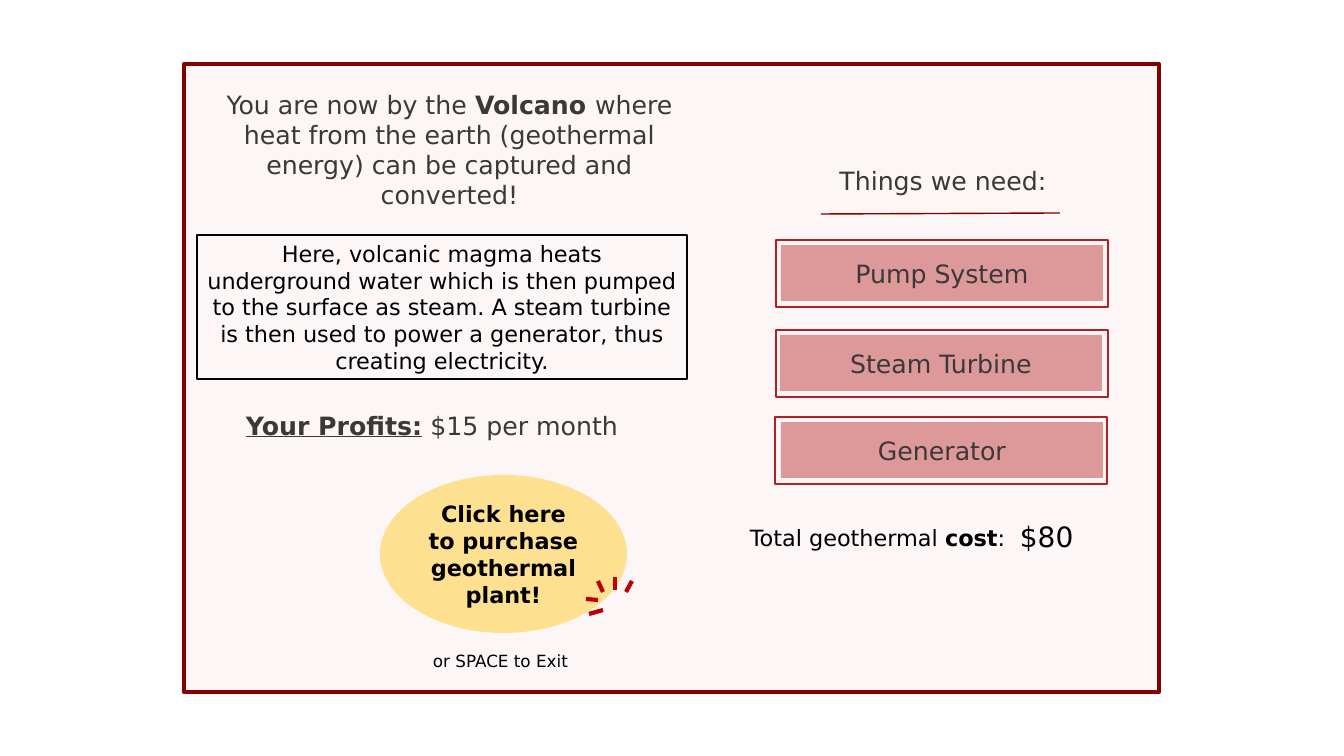
import pptx
import pptx.util
import pptx.dml.color
import pptx.enum.shapes
import pptx.enum.text
import pptx.oxml.ns
import lxml.etree

PX = 914400 / 100.8
FONT = "DejaVu Sans"
COLORS = {
    "white": "FFFFFF",
    "maroon": "820000",
    "red": "B51F21",
    "ray": "C00000",
    "yellow": "FFD966",
    "gray": "3B3838",
    "black": "000000",
}
KINDS = pptx.enum.shapes.MSO_SHAPE
CENTER = pptx.enum.text.PP_ALIGN.CENTER
LEFT = pptx.enum.text.PP_ALIGN.LEFT
MIDDLE = pptx.enum.text.MSO_ANCHOR.MIDDLE
TOP = pptx.enum.text.MSO_ANCHOR.TOP


def color(name):
    return pptx.dml.color.RGBColor.from_string(COLORS[name])


def emu(*lengths):
    return [round(length * PX) for length in lengths]


presentation = pptx.Presentation()
presentation.slide_width, presentation.slide_height = emu(1344, 756)
slide = presentation.slides.add_slide(presentation.slide_layouts[5])
shapes = slide.shapes
slide.background.fill.solid()
slide.background.fill.fore_color.rgb = color("white")

# Boxes: kind, place, fill, opacity in percent, line, line width
boxes = [(KINDS.RECTANGLE, (184, 64, 975, 628), "red", 4, "maroon", 3)]
boxes.append((KINDS.OVAL, (380, 475, 247, 158), "yellow", 70, None, 0))
needs = [
    ("Pump System", 781, 245, 776),
    ("Steam Turbine", 780, 335, 776),
    ("Generator", 781, 422, 775),
]
for need, left, top, border_left in needs:
    boxes.append((KINDS.RECTANGLE, (left, top, 322, 56), "red", 43, None, 0))
    boxes.append((KINDS.RECTANGLE, (border_left, top - 5, 332, 67), None, 0, "red", 1))
boxes.append((KINDS.RECTANGLE, (197, 235, 490, 144), None, 0, "black", 1))

drawn = []
for kind, place, fill, opacity, line, width in boxes:
    shape = shapes.add_shape(kind, *emu(*place))
    shape.shadow.inherit = False
    if fill:
        shape.fill.solid()
        shape.fill.fore_color.rgb = color(fill)
        solid_color = shape.fill._xPr.find(".//" + pptx.oxml.ns.qn("a:srgbClr"))
        alpha = lxml.etree.SubElement(solid_color, pptx.oxml.ns.qn("a:alpha"))
        alpha.set("val", str(opacity * 1000))
    else:
        shape.fill.background()
    if line:
        shape.line.color.rgb = color(line)
        shape.line.width = pptx.util.Pt(width)
    else:
        shape.line.fill.background()
    drawn.append(shape)
frame, button, story = drawn[0], drawn[1], drawn[-1]
need_boxes = drawn[2:-1:2]

# The frame lies behind the title
shapes._spTree.remove(frame._element)
shapes._spTree.insert(2, frame._element)

# Click rays on the button and the rule under the heading
lines = [
    (615, 577, 615, 590, "ray", 3),
    (632, 581, 626, 592, "ray", 3),
    (603, 610, 589, 614, "ray", 3),
    (598, 581, 603, 592, "ray", 3),
    (586, 599, 598, 600, "ray", 3),
    (821, 214, 1060, 213, "maroon", 1),
]
for *ends, name, width in lines:
    connector = shapes.add_connector(
        pptx.enum.shapes.MSO_CONNECTOR.STRAIGHT, *emu(*ends)
    )
    connector.line.color.rgb = color(name)
    connector.line.width = pptx.util.Pt(width)
    lxml.etree.SubElement(
        connector._element.spPr, pptx.oxml.ns.qn("a:effectLst")
    )

# Title
title = shapes.title
title.left, title.top, title.width, title.height = emu(212, 85, 475, 129)

# Texts: shape, or place of a new text box; runs with style b or u; format
texts = [
    (title, [("You are now by the ", ""), ("Volcano ", "b"),
             ("where heat from the earth (geothermal energy) can be "
              "captured and converted!", "")], 18, "gray", CENTER, MIDDLE),
    (story, [("Here, volcanic magma heats underground water which is then "
              "pumped to the surface as steam. A steam turbine is then used "
              "to power a generator, thus creating electricity.", "")],
     16, "black", CENTER, MIDDLE),
    ((201, 398, 462, 54), [("Your Profits:", "bu"), (" $15 per month", "")],
     18, "gray", CENTER, MIDDLE),
    (button, [("Click here to purchase geothermal plant!", "b")],
     16, "black", CENTER, MIDDLE),
    ((423, 646, 161, 30), [("or SPACE to Exit", "")], 12, "black", LEFT, TOP),
    ((824, 160, 238, 40), [("Things we need:", "")], 18, "gray", CENTER, TOP),
    ((740, 519, 301, 37), [("Total geothermal ", ""), ("cost", "b"), (":", "")],
     16, "black", LEFT, TOP),
    ((1010, 515, 101, 44), [("$80", "")], 20, "black", LEFT, TOP),
]
for box, (need, *_) in zip(need_boxes, needs):
    texts.append((box, [(need, "")], 18, "gray", CENTER, MIDDLE))

for target, runs, size, name, alignment, anchor in texts:
    if isinstance(target, tuple):
        target = shapes.add_textbox(*emu(*target))
    text_frame = target.text_frame
    text_frame.word_wrap = True
    text_frame.auto_size = pptx.enum.text.MSO_AUTO_SIZE.NONE
    text_frame.vertical_anchor = anchor
    paragraph = text_frame.paragraphs[0]
    paragraph.alignment = alignment
    for text, style in runs:
        run = paragraph.add_run()
        run.text = text
        run.font.name = FONT
        run.font.size = pptx.util.Pt(size)
        run.font.color.rgb = color(name)
        run.font.bold = "b" in style
        run.font.underline = "u" in style

presentation.save("out.pptx")
